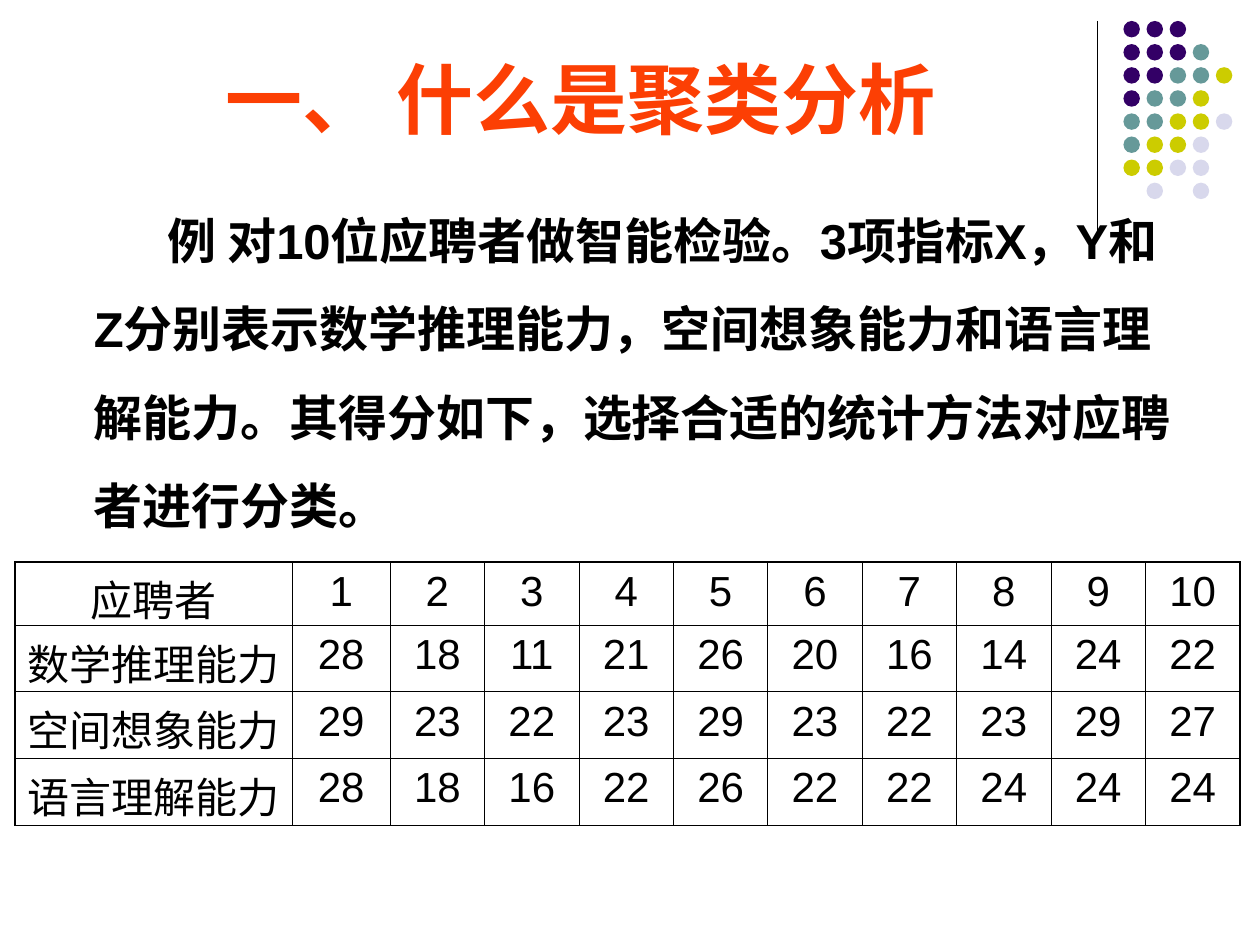
import pptx
import pptx.dml.color
import pptx.enum.shapes
import pptx.enum.text
import pptx.oxml.ns
import pptx.util
from lxml import etree

Pt = pptx.util.Pt
CENTER = pptx.enum.text.PP_ALIGN.CENTER
BLACK = "000000"

# Content
TITLE = "一、 什么是聚类分析"
BODY = ("例 对10位应聘者做智能检验。3项指标X，Y和Z分别表示数学推理能力，"
        "空间想象能力和语言理解能力。其得分如下，选择合适的统计方法对应聘者进行分类。")
ROWS = [
    ("应聘者", range(1, 11)),
    ("数学推理能力", (28, 18, 11, 21, 26, 20, 16, 14, 24, 22)),
    ("空间想象能力", (29, 23, 22, 23, 29, 23, 22, 23, 29, 27)),
    ("语言理解能力", (28, 18, 16, 22, 26, 22, 22, 24, 24, 24)),
]
DOTS = ["PPP", "PPPT", "PPTTY", "PTTY", "TTYYL", "TYYL", "YYLL", ".L.L"]
DOT_COLORS = {"P": "330066", "T": "669999", "Y": "CCCC00", "L": "D8D8EC"}

# Layout in points
DOT_LEFT, DOT_TOP, DOT_SIZE, DOT_PITCH = 642, 12, 9.4, 13.2
COL_WIDTHS = [158.4, 56] + [53.95] * 9
ROW_HEIGHTS = [36, 38.2, 38.2, 38.2]
OUTER, INNER = 1.08, 0.45


def rgb(value):
    return pptx.dml.color.RGBColor.from_string(value)


def add_run(p, text, size, font, color, bold=False):
    r = p.add_run()
    r.text = text
    r.font.size = Pt(size)
    r.font.name = font
    r.font.bold = bold
    r.font.color.rgb = rgb(color)


def add_text_box(s, left, top, width, height):
    tf = s.shapes.add_textbox(Pt(left), Pt(top), Pt(width), Pt(height)).text_frame
    tf.word_wrap = True
    return tf.paragraphs[0]


def add_border(cell, side, width):
    tcPr = cell._tc.get_or_add_tcPr()
    ln = etree.SubElement(tcPr, pptx.oxml.ns.qn("a:ln" + side), w=str(Pt(width)))
    fill = etree.SubElement(ln, pptx.oxml.ns.qn("a:solidFill"))
    etree.SubElement(fill, pptx.oxml.ns.qn("a:srgbClr"), val=BLACK)


prs = pptx.Presentation()
prs.slide_width, prs.slide_height = Pt(720), Pt(540)
s = prs.slides.add_slide(prs.slide_layouts[6])

# Vertical rule
rule = s.shapes.add_connector(pptx.enum.shapes.MSO_CONNECTOR.STRAIGHT,
                              Pt(627), Pt(12), Pt(627), Pt(132))
rule.line.color.rgb = rgb(BLACK)
rule.line.width = Pt(0.75)
etree.SubElement(rule._element.spPr, pptx.oxml.ns.qn("a:effectLst"))

# Dot pattern
for i, line in enumerate(DOTS):
    for j, key in enumerate(line):
        if key not in DOT_COLORS:
            continue
        sp = s.shapes.add_shape(pptx.enum.shapes.MSO_SHAPE.OVAL,
                                Pt(DOT_LEFT + j * DOT_PITCH), Pt(DOT_TOP + i * DOT_PITCH),
                                Pt(DOT_SIZE), Pt(DOT_SIZE))
        sp.shadow.inherit = False
        sp.fill.solid()
        sp.fill.fore_color.rgb = rgb(DOT_COLORS[key])
        sp.line.fill.background()

# Body text with a first-line indent
p = add_text_box(s, 19.5, 100, 664.5, 209.5)
p.line_spacing = 1.5
pPr = p._p.get_or_add_pPr()
pPr.set("marL", str(Pt(27)))
pPr.set("indent", str(Pt(42)))
add_run(p, BODY, 28, "Arial", BLACK, bold=True)

# Title
p = add_text_box(s, 88, 31.7, 488, 54.7)
p.alignment = CENTER
p.line_spacing = 0.9
add_run(p, TITLE, 44, "Cabin", "FC3F04", bold=True)

# Score table
table = s.shapes.add_table(len(ROWS), len(COL_WIDTHS), Pt(8.6), Pt(321.1),
                           Pt(sum(COL_WIDTHS)), Pt(sum(ROW_HEIGHTS))).table
table.first_row = table.horz_banding = False
for col, width in zip(table.columns, COL_WIDTHS):
    col.width = Pt(width)
for row, height in zip(table.rows, ROW_HEIGHTS):
    row.height = Pt(height)
last_row, last_col = len(ROWS) - 1, len(COL_WIDTHS) - 1
for i, (label, scores) in enumerate(ROWS):
    for j, value in enumerate([label, *scores]):
        cell = table.cell(i, j)
        edges = {"L": j == 0, "R": j == last_col, "T": i == 0, "B": i == last_row}
        for side, is_outer in edges.items():
            add_border(cell, side, OUTER if is_outer else INNER)
        cell.fill.background()
        p = cell.text_frame.paragraphs[0]
        p.alignment = CENTER
        add_run(p, str(value), 24, "Arial", BLACK)

prs.save("out.pptx")
